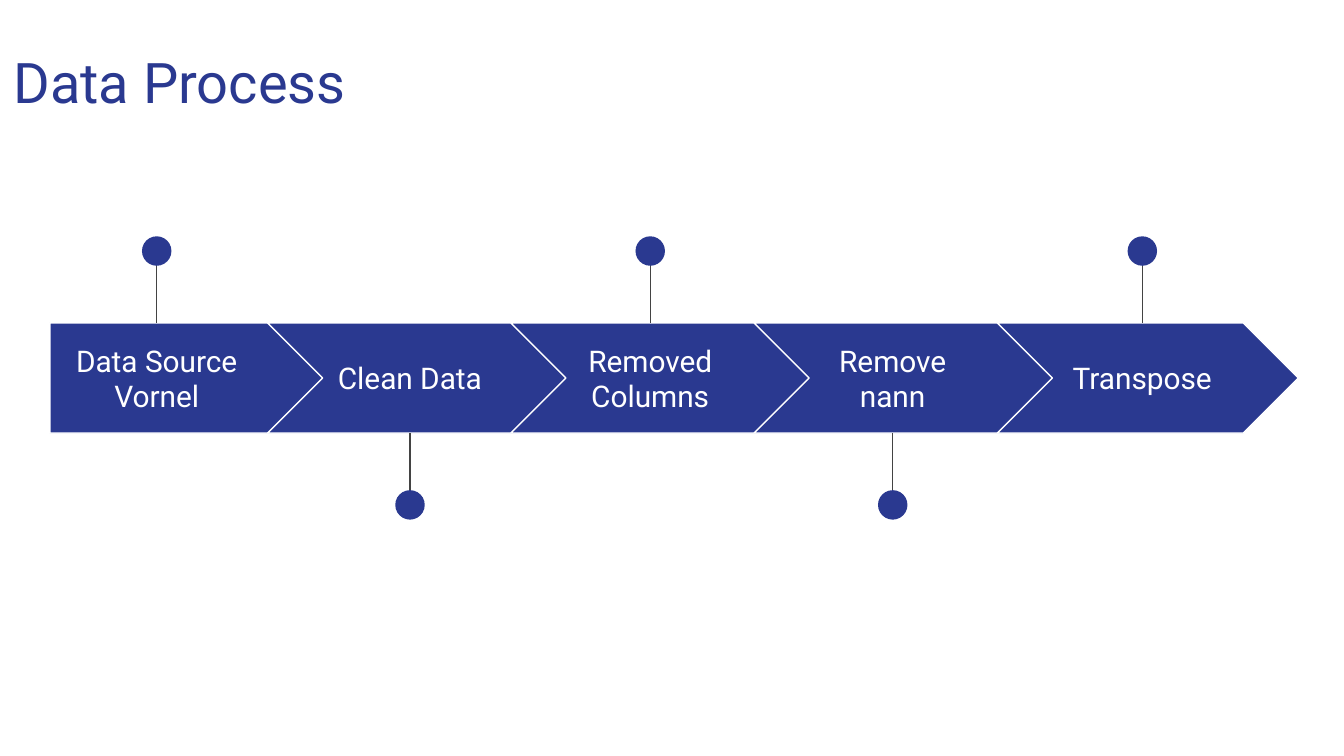
from dataclasses import dataclass

from lxml import etree
from pptx import Presentation
from pptx.dml.color import RGBColor
from pptx.enum import shapes, text
from pptx.oxml.ns import qn
from pptx.util import Pt


@dataclass(frozen=True)
class Theme:
    font: str = "Roboto"
    title_size: int = 30
    label_size: int = 16
    accent: RGBColor = RGBColor(0x2A, 0x39, 0x90)
    light: RGBColor = RGBColor(0xFF, 0xFF, 0xFF)
    stem: RGBColor = RGBColor(0x43, 0x43, 0x43)
    line_width: float = 0.75
    inset: float = 7.2


THEME = Theme()

# Step name, label offset from the left of the band, label width
STEPS = [
    ("Data Source Vornel", 0, 114.5),
    ("Clean Data", 141.1, 103.7),
    ("Removed Columns", 269.8, 103.7),
    ("Remove nann", 399.7, 103.7),
    ("Transpose", 533.4, 103.7),
]
STEP_PITCH = 130.3
FIRST_CHEVRON = 116.7
CHEVRON_WIDTH = 161.3
FIRST_WIDTH = 147.6
LABEL_HEIGHT = 36.7
DOT_SIZE = 15.8
PIN_REACH = 46.4
STEM_LENGTH = 43.6


def write(shape, words, size, color, align, anchor):
    frame = shape.text_frame
    frame.word_wrap = True
    frame.vertical_anchor = anchor
    frame.margin_left = frame.margin_right = Pt(THEME.inset)
    frame.margin_top = frame.margin_bottom = Pt(THEME.inset)
    paragraph = frame.paragraphs[0]
    paragraph.text = words
    paragraph.alignment = align
    paragraph.font.name = THEME.font
    paragraph.font.size = Pt(size)
    paragraph.font.color.rgb = color


def add_title(slide, words, left, top, width, height):
    title = slide.shapes.title
    title.left, title.top = Pt(left), Pt(top)
    title.width, title.height = Pt(width), Pt(height)
    write(title, words, THEME.title_size, THEME.accent,
          text.PP_ALIGN.LEFT, text.MSO_ANCHOR.TOP)
    title.text_frame.auto_size = text.MSO_AUTO_SIZE.SHAPE_TO_FIT_TEXT


def add_filled(slide, kind, left, top, width, height):
    shape = slide.shapes.add_shape(kind, Pt(left), Pt(top), Pt(width), Pt(height))
    shape.shadow.inherit = False
    shape.fill.solid()
    shape.fill.fore_color.rgb = THEME.accent
    return shape


def add_arrow(slide, kind, left, top, width, height):
    arrow = add_filled(slide, kind, left, top, width, height)
    arrow.adjustments[0] = 0.5
    arrow.line.color.rgb = THEME.light
    arrow.line.width = Pt(THEME.line_width)


def add_pin(slide, center, edge, direction):
    """Stem with a dot, rising (-1) or hanging (1) from the edge of the band."""
    stem = slide.shapes.add_connector(
        shapes.MSO_CONNECTOR.STRAIGHT,
        Pt(center), Pt(edge + direction * STEM_LENGTH), Pt(center), Pt(edge))
    stem.line.color.rgb = THEME.stem
    stem.line.width = Pt(THEME.line_width)
    etree.SubElement(stem._element.spPr, qn("a:effectLst"))

    dot_center = edge + direction * (PIN_REACH - DOT_SIZE / 2)
    dot = add_filled(slide, shapes.MSO_SHAPE.OVAL, center - DOT_SIZE / 2,
                     dot_center - DOT_SIZE / 2, DOT_SIZE, DOT_SIZE)
    dot.line.fill.background()


def add_process(slide, left, top, height):
    for index, (step, label_offset, label_width) in enumerate(STEPS):
        if index == 0:
            add_arrow(slide, shapes.MSO_SHAPE.PENTAGON,
                      left, top, FIRST_WIDTH, height)
        else:
            chevron_left = left + FIRST_CHEVRON + (index - 1) * STEP_PITCH
            add_arrow(slide, shapes.MSO_SHAPE.CHEVRON,
                      chevron_left, top, CHEVRON_WIDTH, height)

        label_left = left + label_offset
        label = slide.shapes.add_textbox(
            Pt(label_left), Pt(top + (height - LABEL_HEIGHT) / 2),
            Pt(label_width), Pt(LABEL_HEIGHT))
        write(label, step, THEME.label_size, THEME.light,
              text.PP_ALIGN.CENTER, text.MSO_ANCHOR.MIDDLE)

        center = label_left + label_width / 2
        if index % 2 == 0:
            add_pin(slide, center, top, -1)
        else:
            add_pin(slide, center, top + height, 1)


def main():
    deck = Presentation()
    deck.slide_width, deck.slide_height = Pt(720), Pt(405)
    title_only = deck.slide_layouts[5]
    slide = deck.slides.add_slide(title_only)
    add_title(slide, "Data Process", 0, 18, 456.5, 51)
    add_process(slide, 26.7, 173, 59)
    deck.save("out.pptx")


if __name__ == "__main__":
    main()
